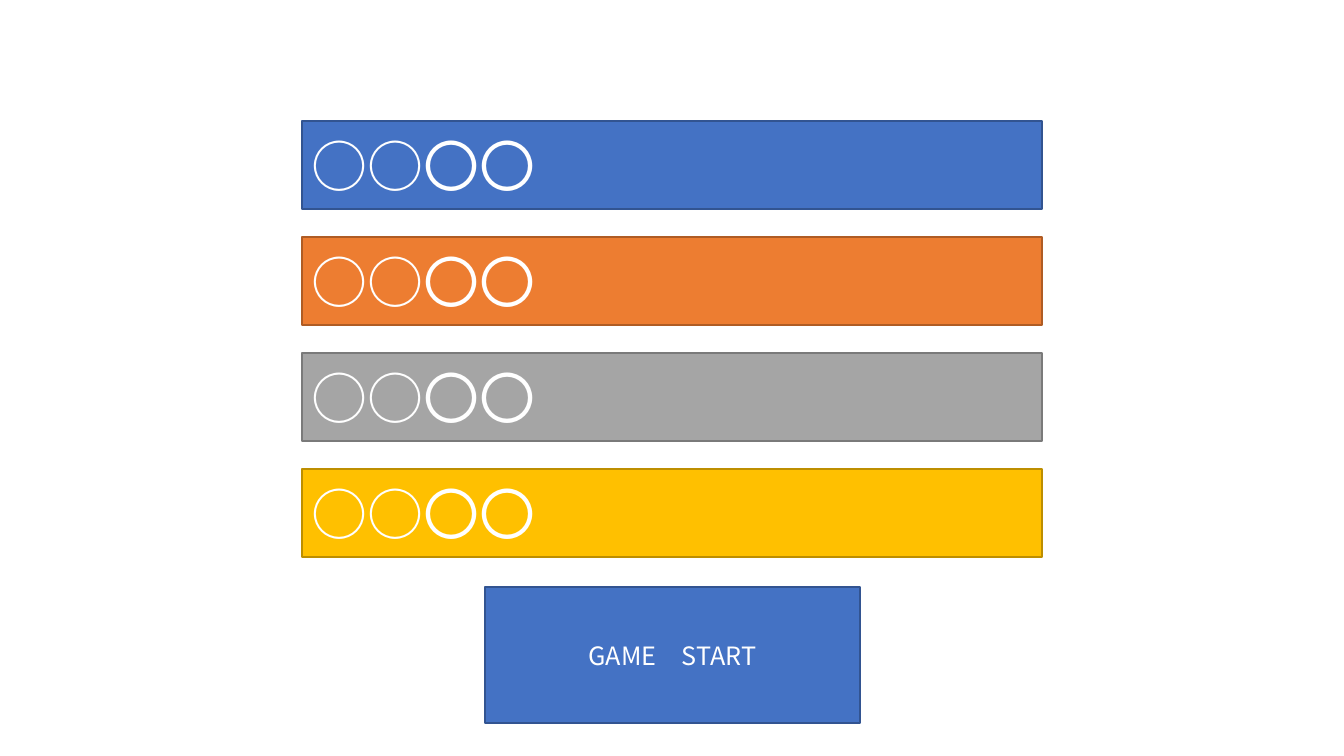
from pptx import Presentation
from pptx.dml.color import RGBColor
from pptx.enum.shapes import MSO_SHAPE as Shape
from pptx.enum.text import MSO_ANCHOR as Anchor, PP_ALIGN as Align
from pptx.util import Pt
from lxml.etree import SubElement
from pptx.oxml.ns import qn

SCALE = 914400 / 100.8
FONT = "Noto Sans CJK JP"
COLORS = {
    "blue": "4472C4", "blue edge": "325491",
    "orange": "ED7D31", "orange edge": "AF5C24",
    "gray": "A5A5A5", "gray edge": "7A7A7A",
    "gold": "FFC000", "gold edge": "BD8E00",
    "white": "FFFFFF",
}


def px(length):
    """Turn pixels into EMU."""
    return round(length * SCALE)


def add_bar(page, bounds, color, text, size, align):
    """Add a filled, outlined rectangle with one line of white text."""
    bar = page.shapes.add_shape(Shape.RECTANGLE, *map(px, bounds))
    bar.shadow.inherit = False
    bar.fill.solid()
    bar.fill.fore_color.rgb = RGBColor.from_string(COLORS[color])
    bar.line.color.rgb = RGBColor.from_string(COLORS[color + " edge"])
    bar.line.width = Pt(1)
    frame = bar.text_frame
    frame.word_wrap = True
    frame.vertical_anchor = Anchor.MIDDLE
    frame.text = text
    para = frame.paragraphs[0]
    para.alignment = align
    span = para.runs[0]
    span.font.size = Pt(size)
    span.font.name = FONT
    span.font.color.rgb = RGBColor.from_string(COLORS["white"])
    # Circles and wide spaces take the East Asian typeface
    SubElement(span.font._element, qn("a:ea"), typeface=FONT)


deck = Presentation()
deck.slide_width, deck.slide_height = px(1344), px(756)
page = deck.slides.add_slide(deck.slide_layouts[6])

# Four answer bars at an equal pitch
for row, color in enumerate(["blue", "orange", "gray", "gold"]):
    bounds = (302, 121 + 116 * row, 740, 88)
    add_bar(page, bounds, color, "○○〇〇", 40, Align.LEFT)

# Start button
add_bar(page, (485, 587, 375, 136), "blue", "GAME\u3000START", 18, Align.CENTER)

deck.save("out.pptx")
